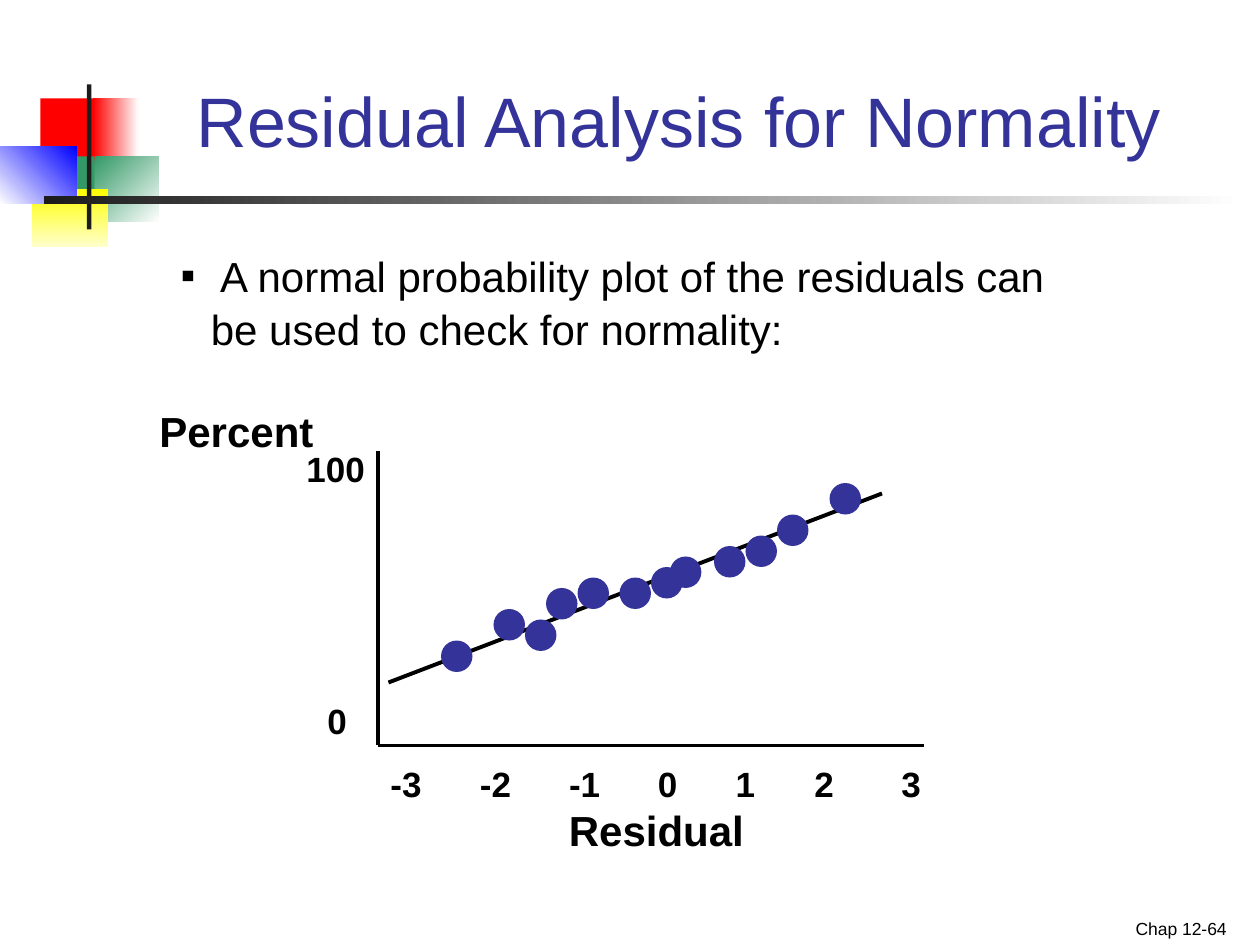
"""Build a slide on checking residuals for normality, laid out on a 120 by 90 grid."""

from dataclasses import dataclass

import pptx
import pptx.dml.color
import pptx.enum.shapes
import pptx.enum.text
import pptx.oxml.ns
import pptx.util
from lxml import etree

COLORS = {
    "ink": "000000", "indigo": "333399", "white": "FFFFFF", "red": "FF0000",
    "green": "339966", "yellow": "FFFF00", "cream": "FFFFCC",
    "blue": "0000FF", "charcoal": "1C1C1C",
}
FONT = "Arial"
DOT_SIZE = 3
ALIGN = pptx.enum.text.PP_ALIGN
ANCHOR = pptx.enum.text.MSO_ANCHOR


@dataclass
class Box:
    col: float
    row: float
    cols: float
    rows: float


@dataclass
class Block:
    box: Box
    colors: tuple[str, ...]
    angle: float = 0


@dataclass
class Line:
    start: tuple[float, float]
    end: tuple[float, float]
    width: float = 2


@dataclass
class Label:
    box: Box
    text: str
    size: float
    bold: bool = True
    wrap: bool = True
    align: ALIGN = ALIGN.LEFT
    anchor: ANCHOR = ANCHOR.TOP


BLOCKS = [
    Block(Box(3.84, 9.36, 5.76, 6.24), ("red",)),
    Block(Box(8.88, 9.36, 4.32, 6.24), ("red", "white")),
    Block(Box(9, 14.88, 6.12, 6.24), ("green", "white"), 315),
    Block(Box(5.16, 14.88, 3.84, 6.24), ("green",)),
    Block(Box(3, 18, 7.32, 5.52), ("yellow", "cream"), 270),
    Block(Box(0, 13.92, 7.32, 5.52), ("white", "blue"), 45),
    Block(Box(8.28, 8.04, 0.42, 13.8), ("charcoal",)),
    Block(Box(4.2, 18.72, 114.12, 0.72), ("charcoal", "white")),
]
TITLE = Label(Box(17.16, 3, 94.92, 12.96), "Residual Analysis for Normality", 40,
              bold=False, align=ALIGN.CENTER, anchor=ANCHOR.BOTTOM)
BODY = Label(
    Box(16, 23, 89, 10.8),
    " A normal probability plot of the residuals can be used to check for normality:",
    24, bold=False)
LINES = [
    Line((36, 43), (36, 71)),
    Line((36, 71), (88, 71)),
    Line((37, 65), (84, 47), 2.25),
]
DOTS = [
    (42, 61), (47, 58), (50, 59), (52, 56), (55, 55), (59, 55),
    (62, 54), (63.8, 53), (68, 52), (71, 51), (74, 49), (79, 46),
]
LABELS = [
    Label(Box(14, 38, 17.2, 6), "Percent", 24, wrap=False),
    Label(Box(53, 76, 28, 6), "Residual", 24),
    Label(Box(30, 66, 6, 5.2), "0", 20),
    Label(Box(28, 42, 8, 5.2), "100", 20),
    Label(Box(90, 85.8, 28, 4.2), "Chap 12-64", 10, bold=False,
          align=ALIGN.RIGHT, anchor=ANCHOR.BOTTOM),
]
TICKS = Label(Box(36, 72, 57, 5.2), "\t".join(str(n) for n in range(-3, 4)), 20)
TICK_STOPS = (10, 18.5, 26.4, 33.8, 41.3, 49.6)


def cell(n: float) -> int:
    """Convert grid cells of a twelfth of an inch to a length."""
    return pptx.util.Inches(n / 12)


def rgb(name: str) -> pptx.dml.color.RGBColor:
    """Look up a palette colour."""
    return pptx.dml.color.RGBColor.from_string(COLORS[name])


def frame(box: Box) -> tuple[int, ...]:
    """Give left, top, width and height of a box."""
    return tuple(cell(n) for n in (box.col, box.row, box.cols, box.rows))


def child(parent, tag: str, **attributes: str):
    """Append an XML element with the given attributes."""
    return etree.SubElement(parent, pptx.oxml.ns.qn(tag), attributes)


def draw_shape(slide, kind, block: Block):
    """Draw an unlined shape with a plain or gradient fill."""
    sp = slide.shapes.add_shape(kind, *frame(block.box))
    sp.shadow.inherit = False
    sp.line.fill.background()
    if len(block.colors) == 1:
        sp.fill.solid()
        sp.fill.fore_color.rgb = rgb(block.colors[0])
    else:
        sp.fill.gradient()
        sp.fill.gradient_angle = block.angle
        for stop, name in zip(sp.fill.gradient_stops, block.colors):
            stop.color.rgb = rgb(name)


def draw_line(slide, line: Line):
    """Draw a straight black line."""
    cxn = slide.shapes.add_connector(
        pptx.enum.shapes.MSO_CONNECTOR.STRAIGHT,
        *(cell(n) for n in line.start + line.end))
    cxn.line.color.rgb = rgb("ink")
    cxn.line.width = pptx.util.Pt(line.width)
    child(cxn._element.spPr, "a:effectLst")


def write(sp, label: Label, color: str = "ink"):
    """Place a text shape, fill in its text and return the paragraph."""
    sp.left, sp.top, sp.width, sp.height = frame(label.box)
    tf = sp.text_frame
    tf.text = label.text
    tf.word_wrap = label.wrap
    tf.auto_size = pptx.enum.text.MSO_AUTO_SIZE.NONE
    tf.vertical_anchor = label.anchor
    p = tf.paragraphs[0]
    p.alignment = label.align
    p.space_before = pptx.util.Pt(0)
    for r in p.runs:
        r.font.name = FONT
        r.font.size = pptx.util.Pt(label.size)
        r.font.bold = label.bold
        r.font.color.rgb = rgb(color)
    return p


def draw_label(slide, label: Label):
    """Draw a text box and return its paragraph."""
    return write(slide.shapes.add_textbox(*frame(label.box)), label)


def main():
    """Build and save the slide."""
    prs = pptx.Presentation()
    prs.slide_width, prs.slide_height = cell(120), cell(90)
    s = prs.slides.add_slide(prs.slide_layouts[1])
    shapes = pptx.enum.shapes.MSO_SHAPE

    for block in BLOCKS:
        draw_shape(s, shapes.RECTANGLE, block)
    write(s.shapes.title, TITLE, "indigo")

    p = write(s.placeholders[1], BODY)
    p.line_spacing = 1.05
    pPr = p._p.get_or_add_pPr()
    pPr.set("marL", str(cell(2.88)))
    pPr.set("indent", str(-cell(2.88)))
    child(pPr, "a:buChar", char="▪")

    for line in LINES:
        draw_line(s, line)
    for col, row in DOTS:
        draw_shape(s, shapes.OVAL, Block(Box(col, row, DOT_SIZE, DOT_SIZE), ("indigo",)))
    for label in LABELS:
        draw_label(s, label)

    tabs = child(draw_label(s, TICKS)._p.get_or_add_pPr(), "a:tabLst")
    for stop in TICK_STOPS:
        child(tabs, "a:tab", pos=str(cell(stop)), algn="ctr")

    prs.save("out.pptx")


if __name__ == "__main__":
    main()
